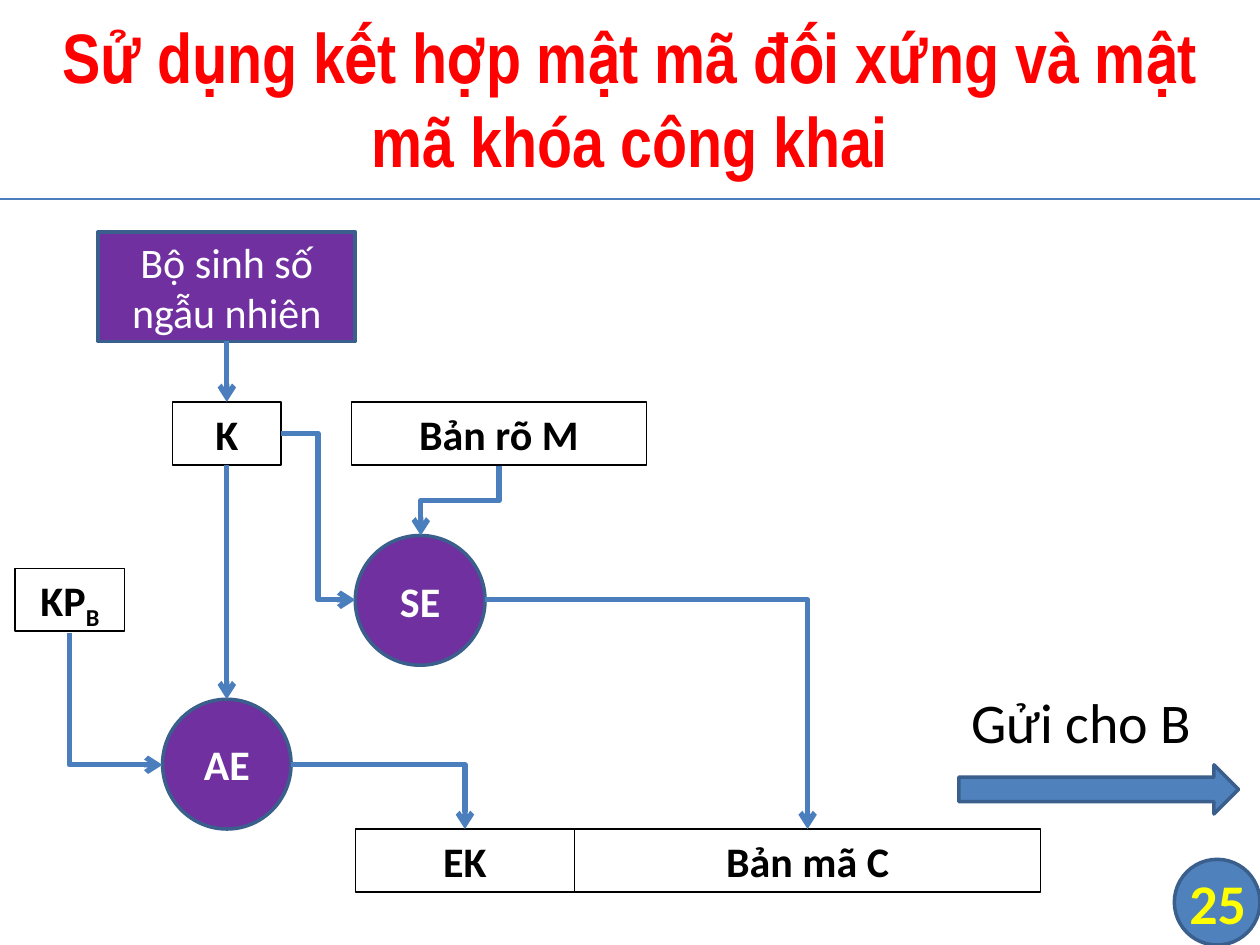
import dataclasses

import lxml.etree
import pptx
import pptx.dml.color
import pptx.enum.shapes
import pptx.enum.text
import pptx.oxml.ns
import pptx.util

Inches = pptx.util.Inches
Pt = pptx.util.Pt
Shape = pptx.enum.shapes.MSO_SHAPE
Connector = pptx.enum.shapes.MSO_CONNECTOR
Align = pptx.enum.text.PP_ALIGN
Anchor = pptx.enum.text.MSO_ANCHOR
Fit = pptx.enum.text.MSO_AUTO_SIZE
Color = pptx.dml.color.RGBColor.from_string
qn = pptx.oxml.ns.qn


@dataclasses.dataclass
class Theme:
    red: str = "FF0000"
    yellow: str = "FFFF00"
    purple: str = "7030A0"
    blue: str = "4F81BD"
    outline: str = "3A5F8C"
    arrow: str = "4B7EBC"
    black: str = "000000"
    white: str = "FFFFFF"
    title_font: str = "Arial Narrow"
    body_font: str = "Calibri"
    title_size: int = 40
    large_size: int = 32
    body_size: int = 24


theme = Theme()


def write_text(frame, text, size=theme.body_size, color=theme.black, bold=True,
               font=theme.body_font, align=Align.CENTER, anchor=Anchor.MIDDLE,
               subscript="", wrap=True, fit=Fit.NONE):
    frame.word_wrap = wrap
    frame.auto_size = fit
    frame.vertical_anchor = anchor
    para = frame.paragraphs[0]
    para.alignment = align
    for part in filter(None, (text, subscript)):
        span = para.add_run()
        span.text = part
        span.font.name = font
        span.font.size = Pt(size)
        span.font.bold = bold
        span.font.color.rgb = Color(color)
    if subscript:
        span.font._element.set("baseline", "-25000")


def add_line(start, end, width=3, bend="", rotation=0, flip=False, arrow=True):
    (x1, y1), (x2, y2) = start, end
    if rotation:
        middle_x, middle_y = (x1 + x2) / 2, (y1 + y2) / 2
        half_width, half_height = abs(y2 - y1) / 2, abs(x2 - x1) / 2
        x1, x2 = middle_x - half_width, middle_x + half_width
        y1, y2 = middle_y - half_height, middle_y + half_height
    if flip:
        x1, x2 = x2, x1
    kind = Connector.ELBOW if bend else Connector.STRAIGHT
    line = page.shapes.add_connector(kind, Inches(x1), Inches(y1), Inches(x2), Inches(y2))
    line.line.color.rgb = Color(theme.arrow)
    line.line.width = Pt(width)
    properties = line._element.spPr
    if bend:
        properties.find(qn("a:prstGeom")).set("prst", bend)
    if rotation:
        properties.find(qn("a:xfrm")).set("rot", str(rotation * 60000))
    if arrow:
        lxml.etree.SubElement(line.line._get_or_add_ln(), qn("a:tailEnd"), type="arrow")
    lxml.etree.SubElement(properties, qn("a:effectLst"))
    return line


deck = pptx.Presentation()
deck.slide_width = Inches(10)
deck.slide_height = Inches(7.5)
page = deck.slides.add_slide(deck.slide_layouts[5])

title = page.shapes.title
title.left, title.top = Inches(0), Inches(-0.03)
title.width, title.height = Inches(10), Inches(1.61)
title.text_frame.margin_left = title.text_frame.margin_right = Inches(0.2)
write_text(title.text_frame, "Sử dụng kết hợp mật mã đối xứng và mật mã khóa công khai",
           size=theme.title_size, color=theme.red, font=theme.title_font)
add_line((0, 1.58), (10, 1.58), width=0.75, arrow=False)

filled_shapes = [
    ("generator", Shape.RECTANGLE, 0.78, 1.84, 2.04, 0.87, theme.purple,
     "Bộ sinh số ngẫu nhiên", {"bold": False, "color": theme.white}),
    ("SE", Shape.OVAL, 2.82, 4.25, 1.03, 1.03, theme.purple, "SE", {"color": theme.white}),
    ("AE", Shape.OVAL, 1.29, 5.55, 1.02, 1.03, theme.purple, "AE", {"color": theme.white}),
    ("send", Shape.RIGHT_ARROW, 7.61, 6.07, 2.22, 0.39, theme.blue, "", {}),
    ("number", Shape.FLOWCHART_CONNECTOR, 9.32, 6.82, 0.68, 0.68, theme.blue, "", {}),
]
nodes = {}
for name, kind, left, top, width, height, fill, text, style in filled_shapes:
    node = page.shapes.add_shape(kind, Inches(left), Inches(top), Inches(width), Inches(height))
    node.shadow.inherit = False
    node.fill.solid()
    node.fill.fore_color.rgb = Color(fill)
    node.line.color.rgb = Color(theme.outline)
    node.line.width = Pt(2)
    write_text(node.text_frame, text, **style)
    nodes[name] = node

data_boxes = [
    ("K", "", 1.37, 3.19, 0.86),
    ("Bản rõ M", "", 2.79, 3.19, 2.34),
    ("KP", "B", 0.12, 4.51, 0.87),
    ("EK", "", 2.82, 6.58, 1.74),
    ("Bản mã C", "", 4.56, 6.58, 3.7),
]
for text, subscript, left, top, width in data_boxes:
    box = page.shapes.add_shape(Shape.RECTANGLE, Inches(left), Inches(top),
                                Inches(width), Inches(0.5))
    box.shadow.inherit = False
    box.fill.background()
    box.line.color.rgb = Color(theme.black)
    box.line.width = Pt(0.75)
    write_text(box.text_frame, text, subscript=subscript, anchor=Anchor.TOP,
               fit=Fit.SHAPE_TO_FIT_TEXT)
    nodes[text] = box

number = page.shapes.add_textbox(Inches(9.33), Inches(6.82), Inches(0.67), Inches(0.68))
frame = number.text_frame
frame.margin_left = frame.margin_right = frame.margin_top = frame.margin_bottom = 0
write_text(frame, "25", size=theme.large_size, color=theme.yellow)

label = page.shapes.add_textbox(Inches(7.61), Inches(5.41), Inches(2.22), Inches(0.64))
write_text(label.text_frame, "Gửi cho B", size=theme.large_size, bold=False,
           align=Align.LEFT, anchor=Anchor.TOP, wrap=False, fit=Fit.SHAPE_TO_FIT_TEXT)

key_arrow = add_line((1.8, 2.71), (1.8, 3.19))
key_arrow.begin_connect(nodes["generator"], 2)
key_arrow.end_connect(nodes["K"], 0)
encrypt_arrow = add_line((1.8, 3.69), (1.8, 5.55))
encrypt_arrow.begin_connect(nodes["K"], 2)
encrypt_arrow.end_connect(nodes["AE"], 0)

bent_arrows = [
    ((2.23, 3.44), (2.82, 4.76), "bentConnector3", 0, False),
    ((3.96, 3.7), (3.34, 4.25), "bentConnector3", 90, False),
    ((0.55, 5.02), (1.29, 6.07), "bentConnector2", 270, True),
    ((2.31, 6.07), (3.69, 6.58), "bentConnector2", 0, False),
    ((3.85, 4.76), (6.41, 6.58), "bentConnector2", 0, False),
]
for start, end, bend, rotation, flip in bent_arrows:
    add_line(start, end, bend=bend, rotation=rotation, flip=flip)

deck.save("out.pptx")
